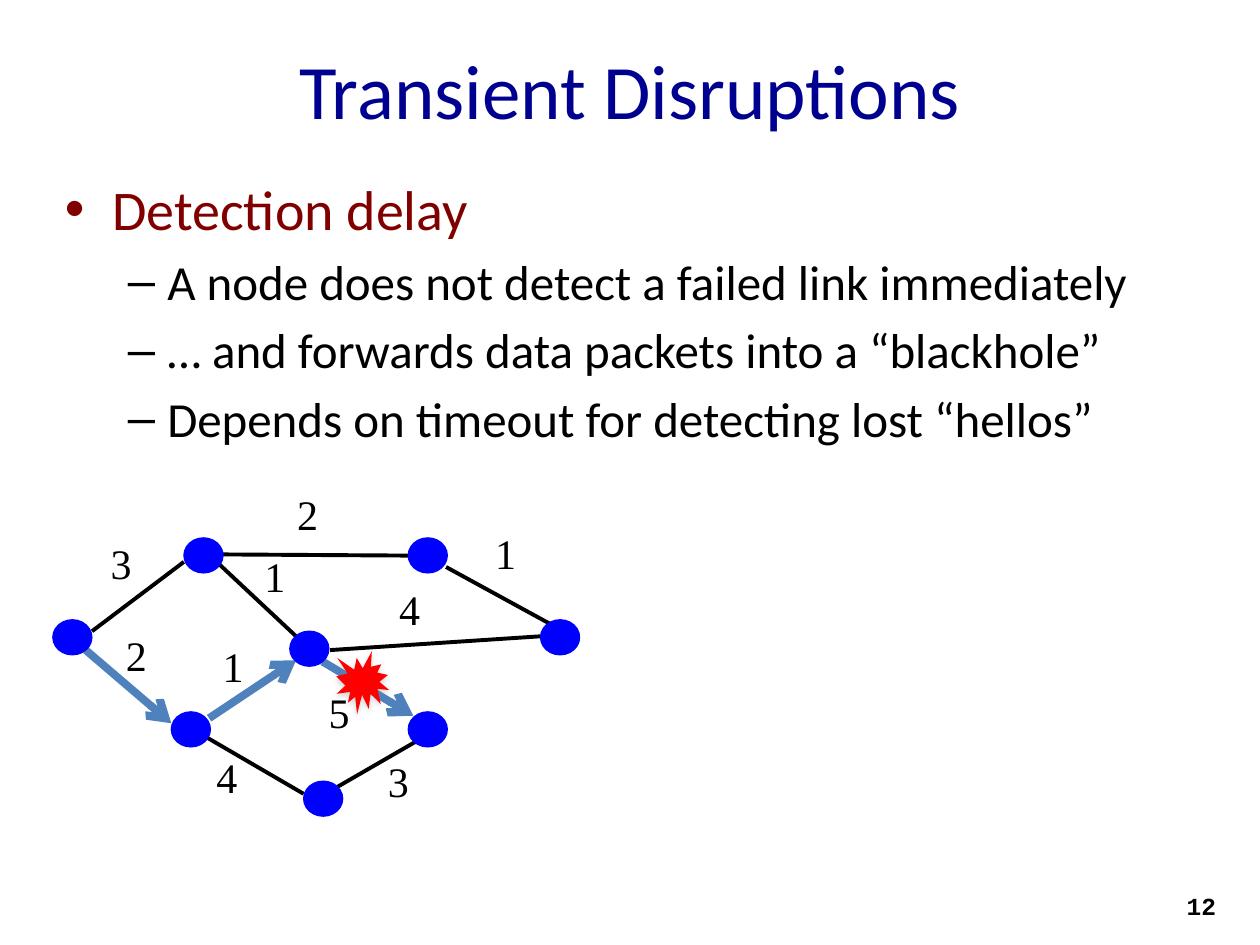
"""Build the "Transient Disruptions" slide: bullets above a weighted network with a failed link."""
from dataclasses import dataclass

from lxml import etree
from pptx import Presentation
from pptx import util as u
from pptx.dml.color import RGBColor
from pptx.enum import shapes, text
from pptx.oxml import ns

Pt = u.Pt


@dataclass(frozen=True)
class Theme:
    title_color: str = "000090"
    topic_color: str = "800000"
    ink: str = "000000"
    node: str = "0000FF"
    route: str = "4F81BD"
    failure: str = "FF0000"
    shadow: str = "808080"
    sans: str = "Calibri"
    serif: str = "Times New Roman"
    mono: str = "Courier New"
    title_size: float = 44
    topic_size: float = 32
    detail_size: float = 28
    weight_size: float = 24
    number_size: float = 14
    link_width: float = 2.25
    route_width: float = 4.5


THEME = Theme()
NODE_SIZE = (22.3, 20)
WEIGHT_SIZE = (26.6, 36)

DETAILS = [
    "A node does not detect a failed link immediately",
    "… and forwards data packets into a “blackhole”",
    "Depends on timeout for detecting lost “hellos”",
]
LINKS = [
    (52.6, 360.7, 105.1, 321.1),
    (124.6, 321.8, 169.2, 363.6),
    (116.6, 420.5, 173.5, 453.6),
    (192.2, 450, 238.3, 423.4),
    (188.6, 371.5, 308.9, 363.6),
    (125.3, 316.8, 233.3, 317.5),
    (254.9, 324, 315.4, 357.1),
]
ROUTE = [
    (49, 371.5, 97.9, 413.3),
    (119.5, 410.4, 169.2, 377.3),
    (184.3, 378, 236.2, 409),
]
WEIGHTS = [
    ("3", 56.2, 303.8), ("2", 162.7, 275.8), ("2", 64.8, 356.4),
    ("1", 144, 311), ("1", 120.2, 362.2), ("4", 221, 329.8),
    ("1", 275.8, 298.1), ("4", 116.6, 426.2), ("5", 180.7, 388.8),
    ("3", 214.6, 428.4),
]
NODES = [
    (30.2, 354.2), (97.9, 406.8), (105.1, 307.4), (165.6, 360.7),
    (233.3, 406.8), (233.3, 307.4), (173.5, 446.4), (308.9, 354.2),
]


def rgb(value):
    """Return the colour for a hex string."""
    return RGBColor.from_string(value)


def points(*lengths):
    """Convert numbers to point lengths."""
    return [Pt(length) for length in lengths]


def add_child(parent, tag, **attributes):
    """Append a drawing element and return it."""
    return etree.SubElement(parent, ns.qn(tag), attributes)


def style(paragraph, face, size, color, bold=False):
    """Set the font of a whole paragraph."""
    font = paragraph.font
    font.name, font.size, font.bold = face, Pt(size), bold
    font.color.rgb = rgb(color)


def set_title(slide, wording):
    """Place and format the title placeholder."""
    title = slide.shapes.title
    title.left, title.top, title.width, title.height = points(36, 5.8, 648, 90)
    title.text_frame.text = wording
    title.text_frame.vertical_anchor = text.MSO_ANCHOR.MIDDLE
    paragraph = title.text_frame.paragraphs[0]
    paragraph.alignment = text.PP_ALIGN.CENTER
    style(paragraph, THEME.sans, THEME.title_size, THEME.title_color)


def add_text(slide, wording, box, wrap=True):
    """Add a text box and return its frame."""
    frame = slide.shapes.add_textbox(*points(*box)).text_frame
    frame.word_wrap = wrap
    frame.text = wording
    return frame


def make_bullet(paragraph, mark, margin, hang, level=0):
    """Give a paragraph a hanging bullet."""
    paragraph.level = level
    properties = paragraph._p.get_or_add_pPr()
    properties.set("marL", str(Pt(margin)))
    properties.set("indent", str(-Pt(hang)))
    add_child(properties, "a:buFont", typeface="Arial")
    add_child(properties, "a:buChar", char=mark)


def add_bullets(slide, topic, details):
    """Add the topic with its detail lines."""
    frame = add_text(slide, topic, (30, 96, 672, 386.6))
    heading = frame.paragraphs[0]
    make_bullet(heading, "•", 27, 27)
    style(heading, THEME.sans, THEME.topic_size, THEME.topic_color)
    for detail in details:
        paragraph = frame.add_paragraph()
        paragraph.text = detail
        make_bullet(paragraph, "–", 58.5, 22.5, level=1)
        paragraph.space_before = Pt(THEME.detail_size * 0.2)
        style(paragraph, THEME.sans, THEME.detail_size, THEME.ink)


def add_link(slide, ends, color, width, arrow=False):
    """Draw a network link, with an arrowhead if it is on the route."""
    link = slide.shapes.add_connector(shapes.MSO_CONNECTOR.STRAIGHT, *points(*ends))
    link.line.color.rgb = rgb(color)
    link.line.width = Pt(width)
    if arrow:
        add_child(link.line._get_or_add_ln(), "a:tailEnd", type="arrow")
    add_child(link._element.spPr, "a:effectLst")


def add_weight(slide, weight, left, top):
    """Write the cost of a link."""
    frame = add_text(slide, weight, (left, top, *WEIGHT_SIZE), wrap=False)
    style(frame.paragraphs[0], THEME.serif, THEME.weight_size, THEME.ink)


def add_filled(slide, preset, box, color):
    """Add a solid preset shape."""
    shape = slide.shapes.add_shape(preset, *points(*box))
    shape.shadow.inherit = False
    shape.fill.solid()
    shape.fill.fore_color.rgb = rgb(color)
    return shape


def add_node(slide, left, top):
    """Draw a network node."""
    node = add_filled(slide, shapes.MSO_SHAPE.OVAL, (left, top, *NODE_SIZE), THEME.node)
    node.line.color.rgb = rgb(THEME.node)
    node.line.width = Pt(0.75)


def add_failure(slide):
    """Mark the failed link with a softly shadowed burst."""
    burst = add_filled(slide, shapes.MSO_SHAPE.EXPLOSION1, (192.2, 372.2, 30.2, 36), THEME.failure)
    burst.line.fill.background()
    effects = burst._element.spPr.find(ns.qn("a:effectLst"))
    shadow = add_child(effects, "a:outerShdw", blurRad=str(Pt(3.1)), dist=str(Pt(1.8)),
                       dir="5400000", rotWithShape="0")
    tint = add_child(shadow, "a:srgbClr", val=THEME.shadow)
    add_child(tint, "a:alpha", val="35000")


def add_slide_number(slide, number):
    """Write the slide number at the bottom right."""
    paragraph = add_text(slide, number, (534, 505.4, 168, 28.8)).paragraphs[0]
    paragraph.alignment = text.PP_ALIGN.RIGHT
    style(paragraph, THEME.mono, THEME.number_size, THEME.ink, bold=True)


def main():
    """Build and save the presentation."""
    deck = Presentation()
    deck.slide_width, deck.slide_height = points(720, 540)
    slide = deck.slides.add_slide(deck.slide_layouts[5])
    set_title(slide, "Transient Disruptions")
    add_bullets(slide, "Detection delay", DETAILS)
    add_slide_number(slide, "12")
    for ends in LINKS:
        add_link(slide, ends, THEME.ink, THEME.link_width)
    for ends in ROUTE:
        add_link(slide, ends, THEME.route, THEME.route_width, arrow=True)
    for weight in WEIGHTS:
        add_weight(slide, *weight)
    for node in NODES:
        add_node(slide, *node)
    add_failure(slide)
    deck.save("out.pptx")


if __name__ == "__main__":
    main()
